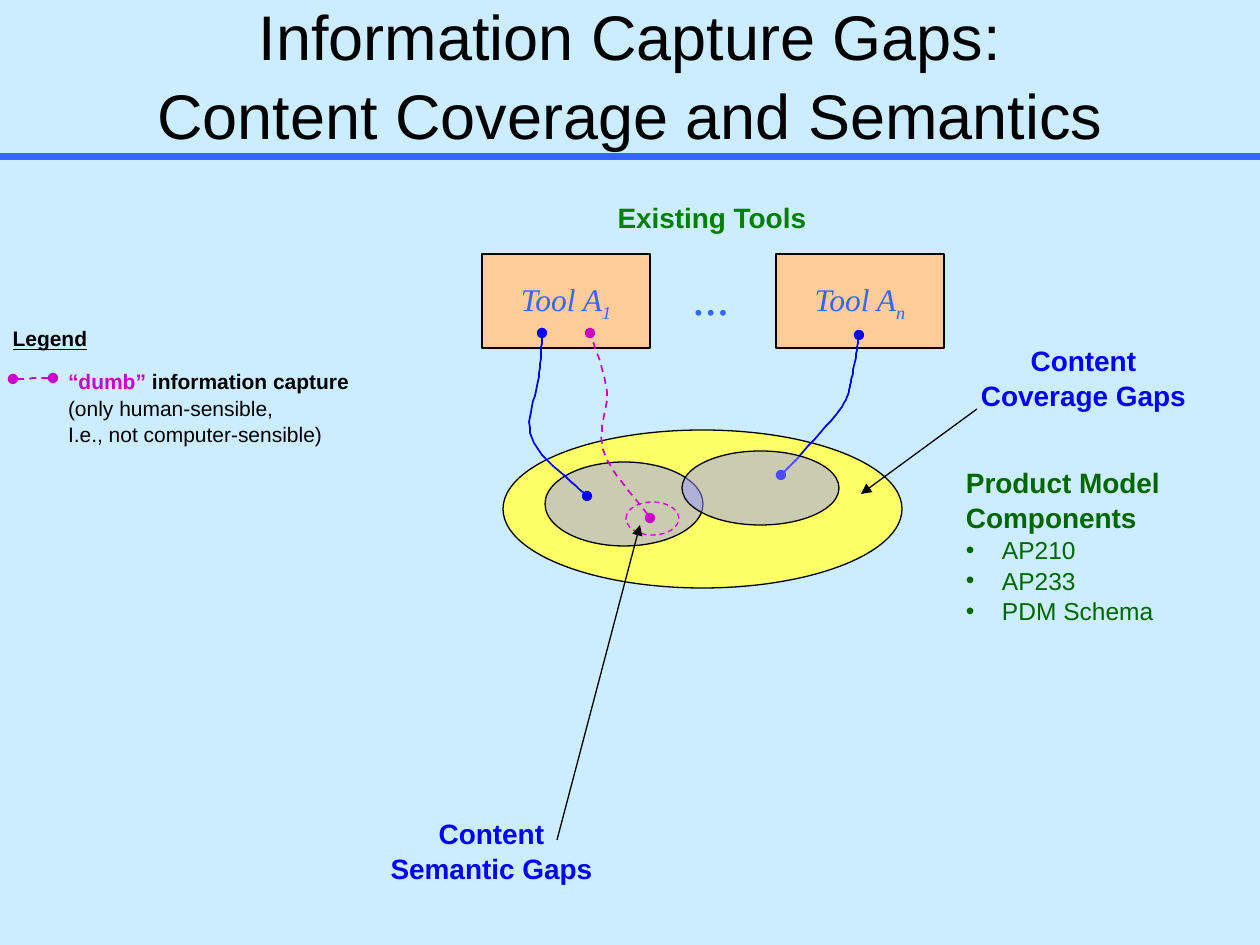
from lxml import etree
from pptx import Presentation
from pptx.dml.color import RGBColor
from pptx.enum.dml import MSO_LINE
from pptx.enum.shapes import MSO_CONNECTOR, MSO_SHAPE
from pptx.enum.text import MSO_ANCHOR, MSO_AUTO_SIZE, PP_ALIGN
from pptx.oxml.ns import qn
from pptx.util import Emu, Pt

PX = 914400 / 126
LINE_SPACING = 1.04
CURVE_STEPS = 12
RECT, OVAL = MSO_SHAPE.RECTANGLE, MSO_SHAPE.OVAL
STRAIGHT, DASH = MSO_CONNECTOR.STRAIGHT, MSO_LINE.DASH
LEFT, CENTER = PP_ALIGN.LEFT, PP_ALIGN.CENTER
TOP, MIDDLE, BOTTOM = MSO_ANCHOR.TOP, MSO_ANCHOR.MIDDLE, MSO_ANCHOR.BOTTOM
SANS, SERIF = "Arial", "Times New Roman"
COLORS = {
    "background": "CCECFF", "rule": "3366FF", "black": "000000",
    "model": "FFFF66", "coverage": "9999FF", "tool": "FFCC99",
    "tool_text": "3366FF", "heading": "008000", "components": "006600",
    "capture": "0000FF", "dumb": "CC00CC",
}


def px(length):
    return Emu(round(length * PX))


def bezier(start, segments):
    """Points along joined cubic curves."""
    points = [start]
    for c1, c2, end in segments:
        for step in range(1, CURVE_STEPS + 1):
            t = step / CURVE_STEPS
            weights = ((1 - t) ** 3, 3 * t * (1 - t) ** 2, 3 * t * t * (1 - t), t ** 3)
            points.append(tuple(
                sum(w * p[axis] for w, p in zip(weights, (start, c1, c2, end)))
                for axis in (0, 1)))
        start = end
    return points


class Diagram:
    def __init__(self, slide):
        self.slide = slide
        slide.background.fill.solid()
        slide.background.fill.fore_color.rgb = self.rgb("background")

    def rgb(self, color):
        return RGBColor.from_string(COLORS[color])

    def outline(self, shape, color, width, dash=None, head=None, tail=None):
        line = shape.line
        line.color.rgb = self.rgb(color)
        line.width = Pt(width)
        if dash:
            line.dash_style = dash
        for tag, kind in (("a:headEnd", head), ("a:tailEnd", tail)):
            if kind:
                etree.SubElement(line._get_or_add_ln(), qn(tag), type=kind)

    def frame(self, shape, anchor=TOP, wrap=False, inset=False):
        frame = shape.text_frame
        frame.word_wrap = wrap
        frame.auto_size = MSO_AUTO_SIZE.NONE
        frame.vertical_anchor = anchor
        frame.margin_left = frame.margin_right = px(13 if inset else 0)
        frame.margin_top = frame.margin_bottom = px(6 if inset else 0)
        return frame

    def style(self, run, size, color, font=SANS, bold=False, italic=False):
        run.font.name = font
        run.font.size = Pt(size)
        run.font.bold = bold
        run.font.italic = italic
        run.font.color.rgb = self.rgb(color)

    def set_text(self, frame, text, size, color, align=CENTER, **look):
        frame.text = text
        for paragraph in frame.paragraphs:
            paragraph.alignment = align
            paragraph.line_spacing = LINE_SPACING
            for run in paragraph.runs:
                self.style(run, size, color, **look)
        return frame.paragraphs

    def title(self, box, text, size):
        title = self.slide.shapes.title
        title.left, title.top, title.width, title.height = map(px, box)
        self.set_text(self.frame(title, BOTTOM, wrap=True), text, size, "black")

    def label(self, box, text, size, color, wrap=False, inset=False, **look):
        shape = self.slide.shapes.add_textbox(*map(px, box))
        return self.set_text(self.frame(shape, TOP, wrap, inset), text, size, color, **look)

    def shape(self, kind, box, fill, line="black", dash=None, alpha=None):
        shape = self.slide.shapes.add_shape(kind, *map(px, box))
        shape.shadow.inherit = False
        if fill:
            shape.fill.solid()
            shape.fill.fore_color.rgb = self.rgb(fill)
        else:
            shape.fill.background()
        if alpha:
            color = shape._element.spPr.find(".//" + qn("a:srgbClr"))
            etree.SubElement(color, qn("a:alpha"), val=str(alpha * 1000))
        self.outline(shape, line, 0.75, dash)
        return shape

    def tool(self, box, subscript):
        frame = self.frame(self.shape(RECT, box, "tool"), MIDDLE)
        name = self.set_text(frame, "Tool A", 18, "tool_text", font=SERIF, italic=True)[0]
        index = name.add_run()
        index.text = subscript
        self.style(index, 18, "tool_text", font=SERIF, italic=True)
        index._r.get_or_add_rPr().set("baseline", "-25000")

    def curve(self, start, segments, color, dash=None):
        first, *rest = bezier(start, segments)
        builder = self.slide.shapes.build_freeform(*first, scale=PX)
        builder.add_line_segments(rest, close=False)
        shape = builder.convert_to_shape()
        shape.shadow.inherit = False
        shape.fill.background()
        self.outline(shape, color, 1, dash, "oval", "oval")

    def line(self, start, end, color, width, tail=None):
        connector = self.slide.shapes.add_connector(STRAIGHT, *map(px, start + end))
        self.outline(connector, color, width, tail=tail)
        etree.SubElement(connector._element.spPr, qn("a:effectLst"))

    def bullet(self, paragraph, color, indent):
        properties = paragraph._p.get_or_add_pPr()
        properties.set("marL", str(px(indent)))
        properties.set("indent", str(-px(indent)))
        bullet_color = etree.SubElement(properties, qn("a:buClr"))
        etree.SubElement(bullet_color, qn("a:srgbClr"), val=COLORS[color])
        etree.SubElement(properties, qn("a:buFont"), typeface=SANS)
        etree.SubElement(properties, qn("a:buChar"), char="•")


def main():
    deck = Presentation()
    deck.slide_width, deck.slide_height = px(1260), px(945)
    diagram = Diagram(deck.slides.add_slide(deck.slide_layouts[5]))

    # Title and rule
    diagram.title((0, 0, 1260, 152),
                  "Information Capture Gaps:\vContent Coverage and Semantics", 36)
    diagram.line((0, 157), (1260, 157), "rule", 4)

    # Product model and existing tools
    diagram.shape(OVAL, (503, 430, 399, 158), "model")
    diagram.label((616, 199, 192, 34), "Existing Tools", 16, "heading", bold=True)
    for left, subscript in ((482, "1"), (776, "n")):
        diagram.tool((left, 254, 168, 94), subscript)
    diagram.label((681, 258, 62, 72), "...", 28, "tool_text", inset=True,
                  font=SERIF, italic=True)

    # Coverage of each tool, with its capture links
    diagram.shape(OVAL, (545, 462, 158, 84), "coverage", alpha=50)
    diagram.curve((781, 475), [((791, 465), (827, 427), (839, 411)),
                               ((851, 394), (849, 389), (852, 377)),
                               ((855, 364), (858, 344), (859, 335))], "capture")
    diagram.curve((587, 496), [((578, 486), (539, 459), (532, 438)),
                               ((524, 418), (537, 394), (539, 377)),
                               ((541, 359), (542, 341), (542, 333))], "capture")
    diagram.curve((650, 518), [((643, 507), (611, 473), (604, 452)),
                               ((596, 431), (609, 411), (607, 391)),
                               ((605, 370), (593, 344), (590, 333))], "dumb", DASH)
    diagram.shape(OVAL, (626, 502, 53, 33), None, "dumb", DASH)
    diagram.shape(OVAL, (682, 451, 157, 74), "coverage", alpha=50)

    # Legend
    legend = diagram.label((0, 319, 100, 38), "Legend", 12, "black", inset=True, bold=True)
    legend[0].runs[0].font.underline = True
    diagram.curve((53, 378), [((45, 378), (21, 379), (13, 379))], "dumb", DASH)
    meaning = diagram.label(
        (68, 368, 281, 76),
        "“dumb” \n(only human-sensible,\nI.e., not computer-sensible)",
        12, "black", align=LEFT)
    diagram.style(meaning[0].runs[0], 12, "dumb", bold=True)
    capture = meaning[0].add_run()
    capture.text = "information capture"
    diagram.style(capture, 12, "black", bold=True)

    # Gap callouts
    for box, gap, start, end in (
            ((969, 336, 229, 81), "Coverage", (977, 409), (861, 494)),
            ((378, 809, 227, 81), "Semantic", (557, 840), (640, 525))):
        diagram.label(box, f"Content\n{gap} Gaps", 16, "capture", inset=True, bold=True)
        diagram.line(start, end, "black", 0.75, "triangle")

    # Product model components
    components = diagram.label(
        (966, 464, 221, 155),
        "Product Model\nComponents\nAP210\nAP233\nPDM Schema",
        16, "components", wrap=True, align=LEFT, bold=True)
    for component in components[2:]:
        diagram.bullet(component, "components", 36)
        diagram.style(component.runs[0], 14, "components")

    deck.save("out.pptx")


if __name__ == "__main__":
    main()
